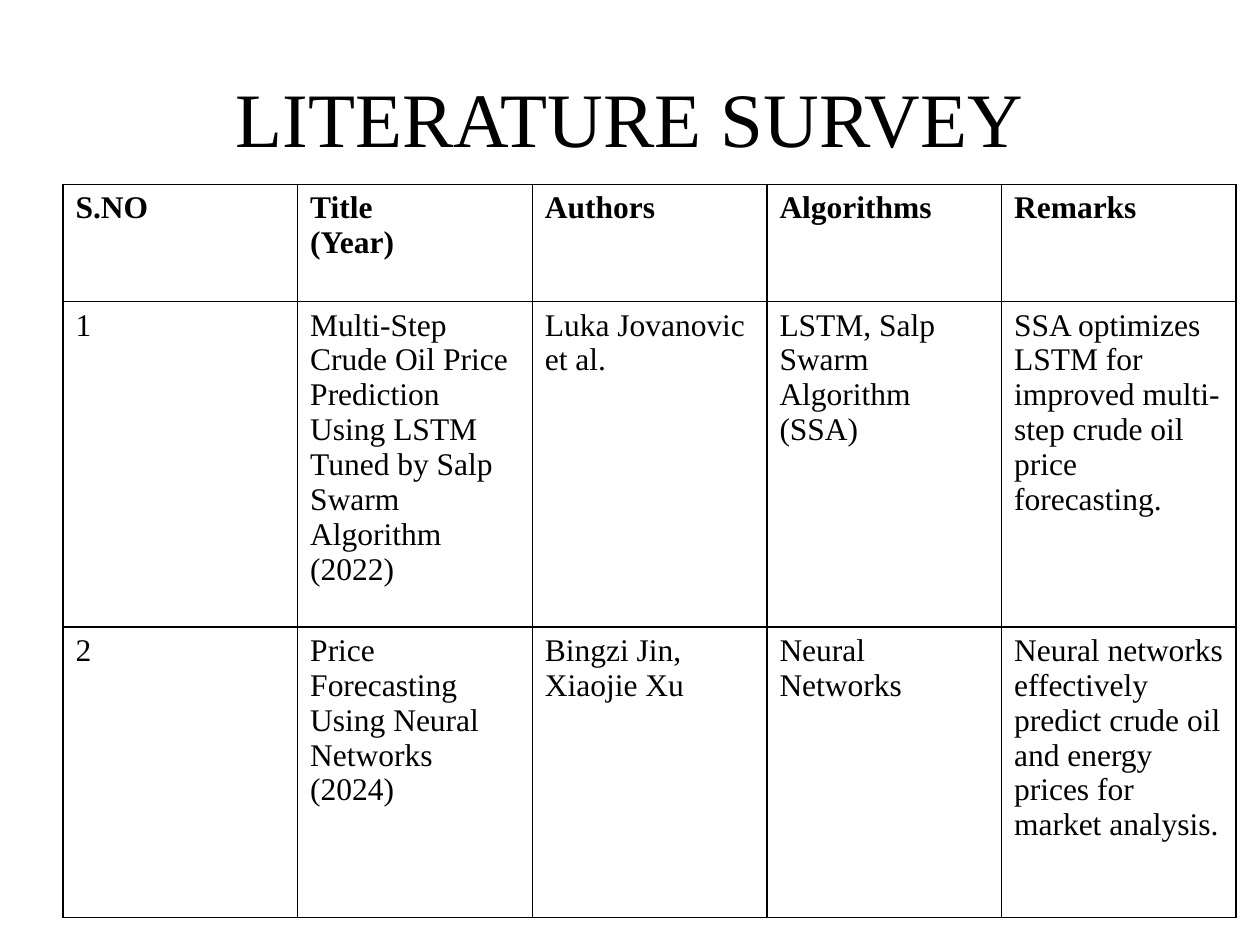
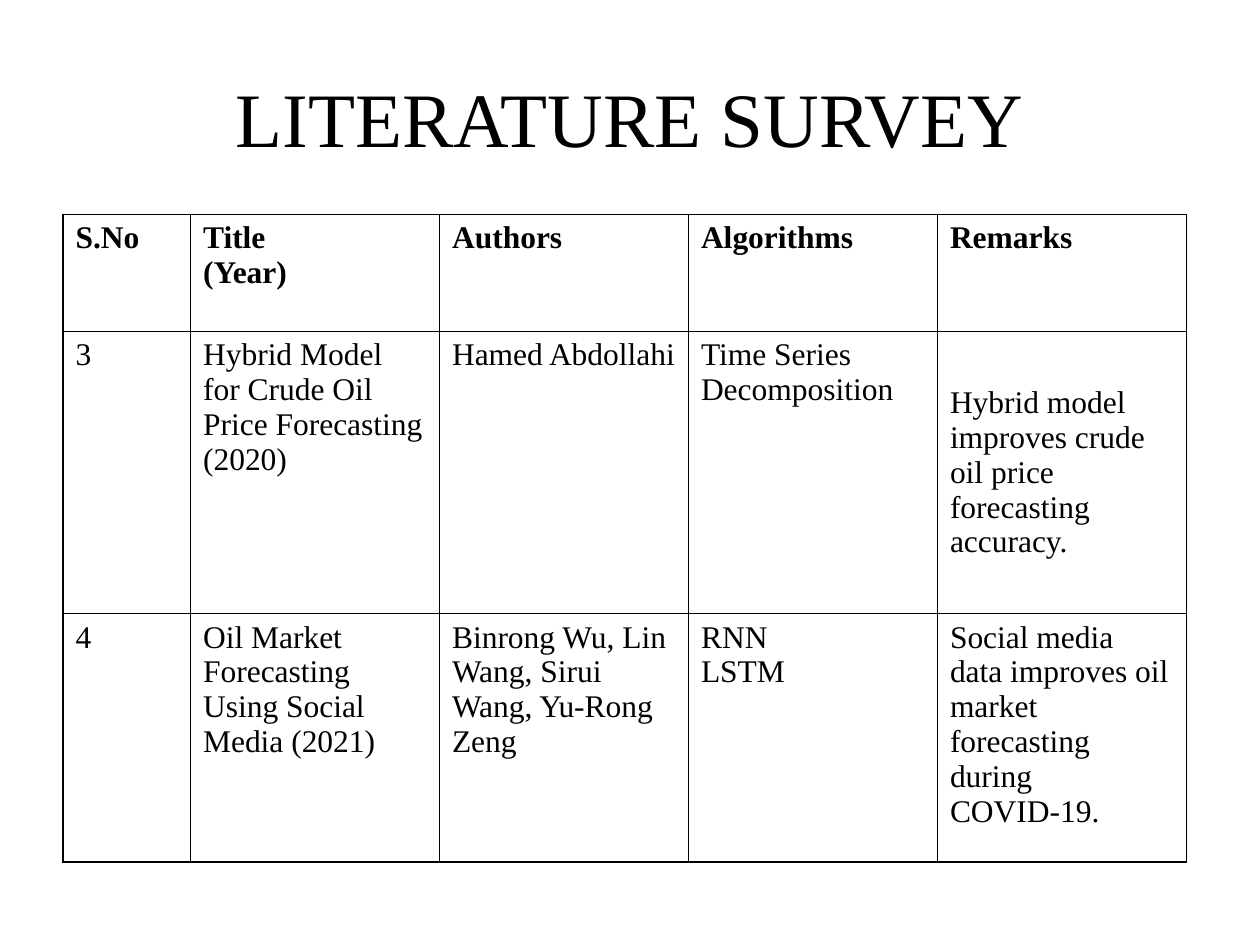
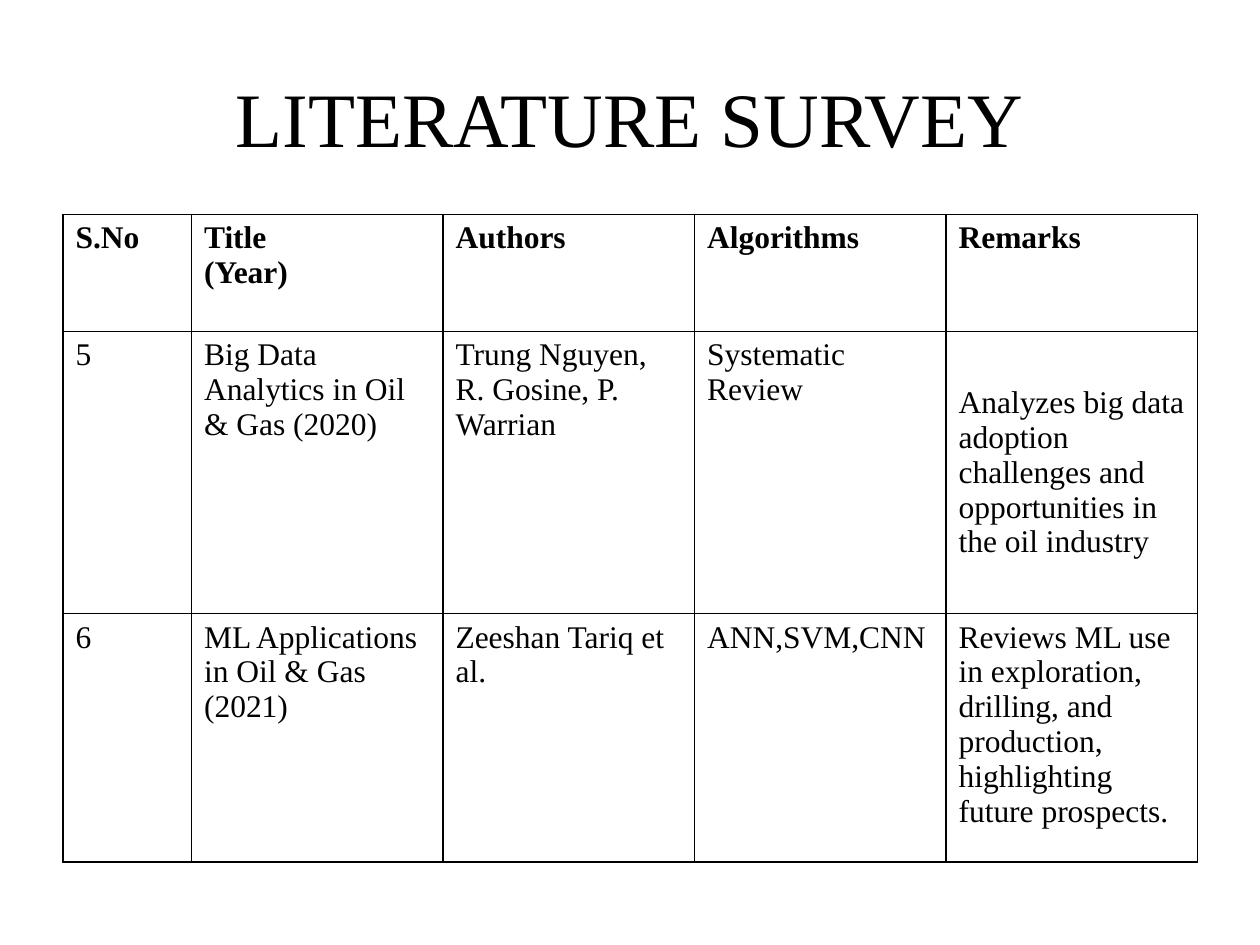
import dataclasses

import pptx
import pptx.dml.color
import pptx.enum.text
import pptx.oxml
import pptx.oxml.ns
import pptx.util

Cm = pptx.util.Cm
Pt = pptx.util.Pt
Align = pptx.enum.text.PP_ALIGN
Anchor = pptx.enum.text.MSO_ANCHOR


@dataclasses.dataclass(frozen=True)
class Theme:
    font: str = "Times New Roman"
    ink: str = "000000"
    title_size: int = 44
    cell_size: int = 18
    border_width: int = 1


@dataclasses.dataclass(frozen=True)
class Paper:
    number: str
    title: str
    authors: str
    algorithms: str
    remarks: str
    remarks_anchor: Anchor = Anchor.TOP


@dataclasses.dataclass(frozen=True)
class Survey:
    number_heading: str
    top: float
    number_width: float
    column_width: float
    row_heights: tuple[float, float]
    papers: tuple[Paper, Paper]


THEME = Theme()
TITLE = "LITERATURE SURVEY"
HEADINGS = ("Title\n(Year)", "Authors", "Algorithms", "Remarks")
LEFT = 1.27
HEADING_HEIGHT = 2.36

SURVEYS = (
    Survey("S.NO", 3.72, 4.73, 4.73, (6.56, 5.86), (
        Paper("1",
              "Multi-Step Crude Oil Price Prediction Using LSTM Tuned by Salp Swarm Algorithm (2022)",
              "Luka Jovanovic et al.",
              "LSTM, Salp Swarm Algorithm (SSA)",
              "SSA optimizes LSTM for improved multi-step crude oil price forecasting."),
        Paper("2",
              "Price Forecasting Using Neural Networks (2024)",
              "Bingzi Jin, Xiaojie Xu",
              "Neural Networks",
              "Neural networks effectively predict crude oil and energy prices for market analysis."),
    )),
    Survey("S.No", 4.32, 2.57, 5.02, (5.69, 5.01), (
        Paper("3",
              "Hybrid Model for Crude Oil Price Forecasting (2020)",
              "Hamed Abdollahi",
              "Time Series Decomposition",
              "Hybrid model improves crude oil price forecasting accuracy.",
              Anchor.MIDDLE),
        Paper("4",
              "Oil Market Forecasting Using Social Media (2021)",
              "Binrong Wu, Lin Wang, Sirui Wang, Yu-Rong Zeng",
              "RNN\nLSTM",
              "Social media data improves oil market forecasting during COVID-19."),
    )),
    Survey("S.No", 4.32, 2.59, 5.07, (5.69, 5.01), (
        Paper("5",
              "Big Data Analytics in Oil & Gas (2020)",
              "Trung Nguyen, R. Gosine, P. Warrian",
              "Systematic Review",
              "Analyzes big data adoption challenges and opportunities in the oil industry",
              Anchor.MIDDLE),
        Paper("6",
              "ML Applications in Oil & Gas (2021)",
              "Zeeshan Tariq et al.",
              "ANN,SVM,CNN",
              "Reviews ML use in exploration, drilling, and production, highlighting future prospects."),
    )),
)


def write_text(frame, text: str, *, size: int, bold: bool = False, align: Align = Align.LEFT) -> None:
    frame.word_wrap = True
    for index, line in enumerate(text.split("\n")):
        para = frame.add_paragraph() if index else frame.paragraphs[0]
        para.alignment = align
        span = para.add_run()
        span.text = line
        span.font.name = THEME.font
        span.font.size = Pt(size)
        span.font.bold = bold
        span.font.color.rgb = pptx.dml.color.RGBColor.from_string(THEME.ink)


def add_title(page) -> None:
    box = page.shapes.add_textbox(Cm(LEFT), Cm(0.76), Cm(22.86), Cm(3.18))
    box.text_frame.vertical_anchor = Anchor.MIDDLE
    write_text(box.text_frame, TITLE, size=THEME.title_size, align=Align.CENTER)


def add_borders(cell) -> None:
    properties = cell._tc.get_or_add_tcPr()
    for index, side in enumerate(("lnL", "lnR", "lnT", "lnB")):
        border = pptx.oxml.parse_xml(
            f'<a:{side} {pptx.oxml.ns.nsdecls("a")} w="{Pt(THEME.border_width)}">'
            f'<a:solidFill><a:srgbClr val="{THEME.ink}"/></a:solidFill></a:{side}>'
        )
        properties.insert(index, border)


def fill_cell(cell, text: str, *, bold: bool, anchor: Anchor) -> None:
    cell.fill.background()
    cell.vertical_anchor = anchor
    write_text(cell.text_frame, text, size=THEME.cell_size, bold=bold)
    add_borders(cell)


def add_survey_table(page, survey: Survey) -> None:
    heading = Paper(survey.number_heading, *HEADINGS)
    papers = (heading, *survey.papers)
    widths = (survey.number_width,) + (survey.column_width,) * len(HEADINGS)
    heights = (HEADING_HEIGHT, *survey.row_heights)
    table = page.shapes.add_table(
        len(heights), len(widths), Cm(LEFT), Cm(survey.top), Cm(sum(widths)), Cm(sum(heights))
    ).table
    table.first_row = False
    table.horz_banding = False
    for column, width in zip(table.columns, widths):
        column.width = Cm(width)
    for row, height, paper in zip(table.rows, heights, papers):
        row.height = Cm(height)
        texts = (paper.number, paper.title, paper.authors, paper.algorithms, paper.remarks)
        anchors = (Anchor.TOP,) * len(HEADINGS) + (paper.remarks_anchor,)
        for cell, text, anchor in zip(row.cells, texts, anchors):
            fill_cell(cell, text, bold=paper is heading, anchor=anchor)


def main() -> None:
    deck = pptx.Presentation()
    deck.slide_width = Cm(25.4)
    deck.slide_height = Cm(19.05)
    for survey in SURVEYS:
        page = deck.slides.add_slide(deck.slide_layouts[6])
        add_title(page)
        add_survey_table(page, survey)
    deck.save("out.pptx")


if __name__ == "__main__":
    main()
